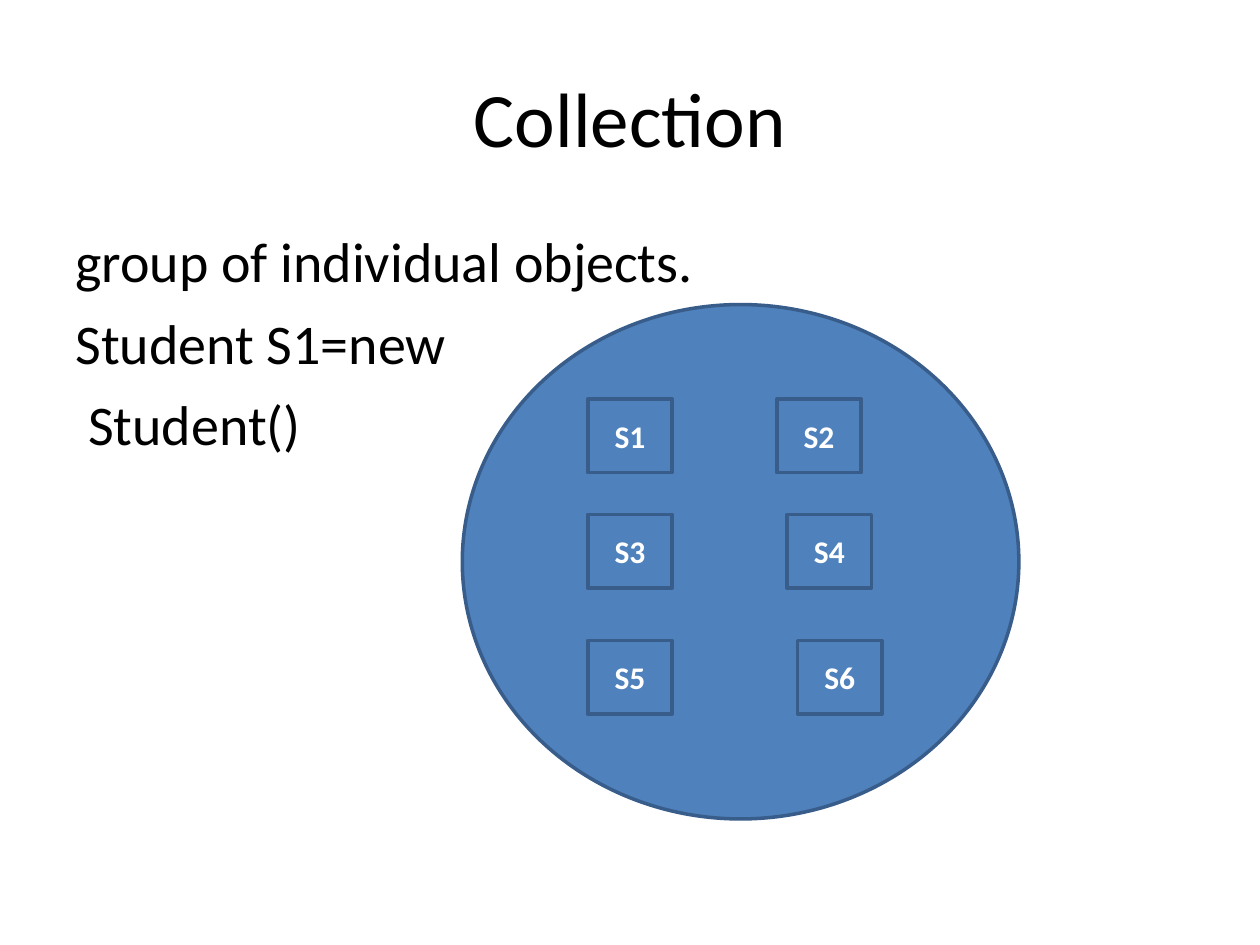
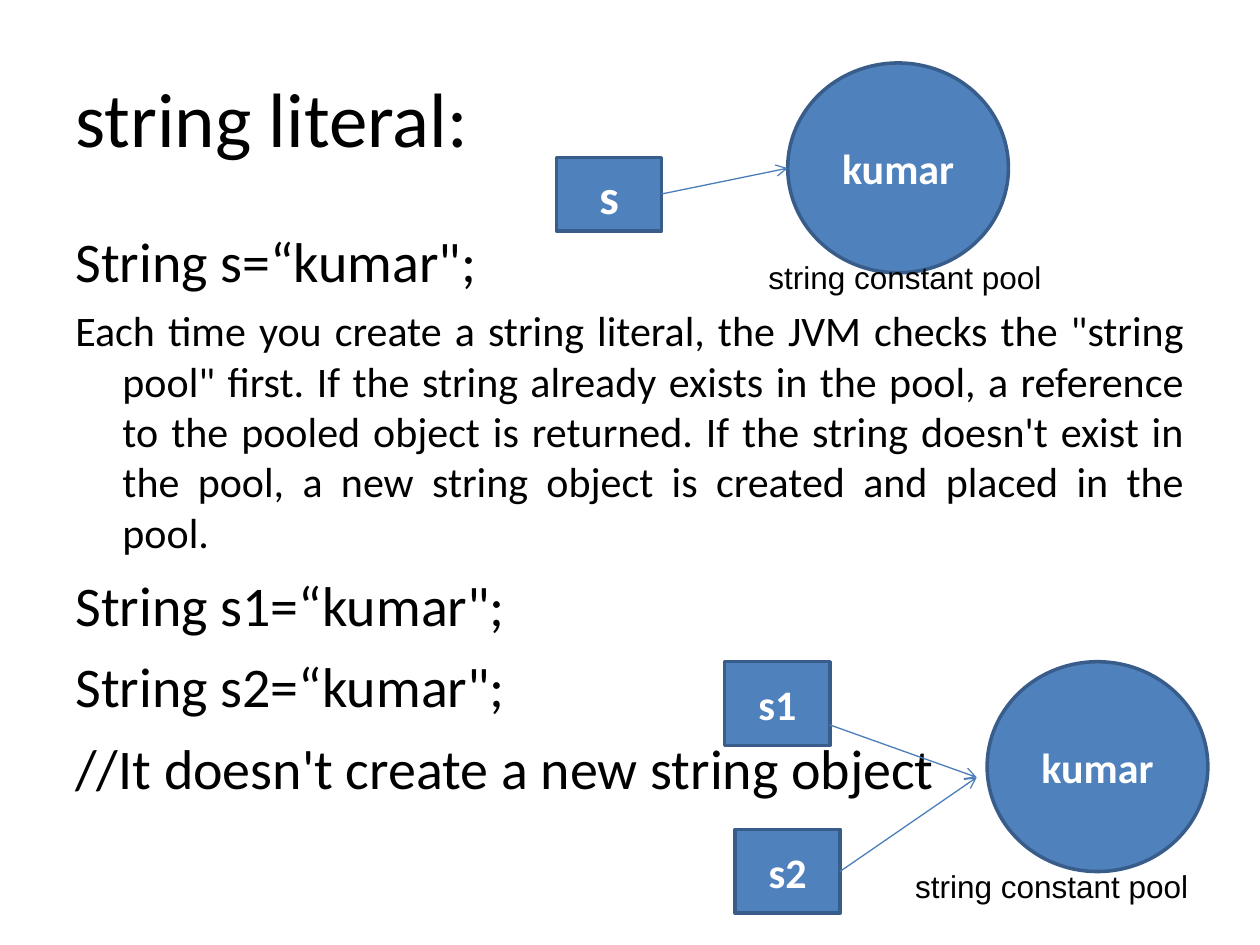
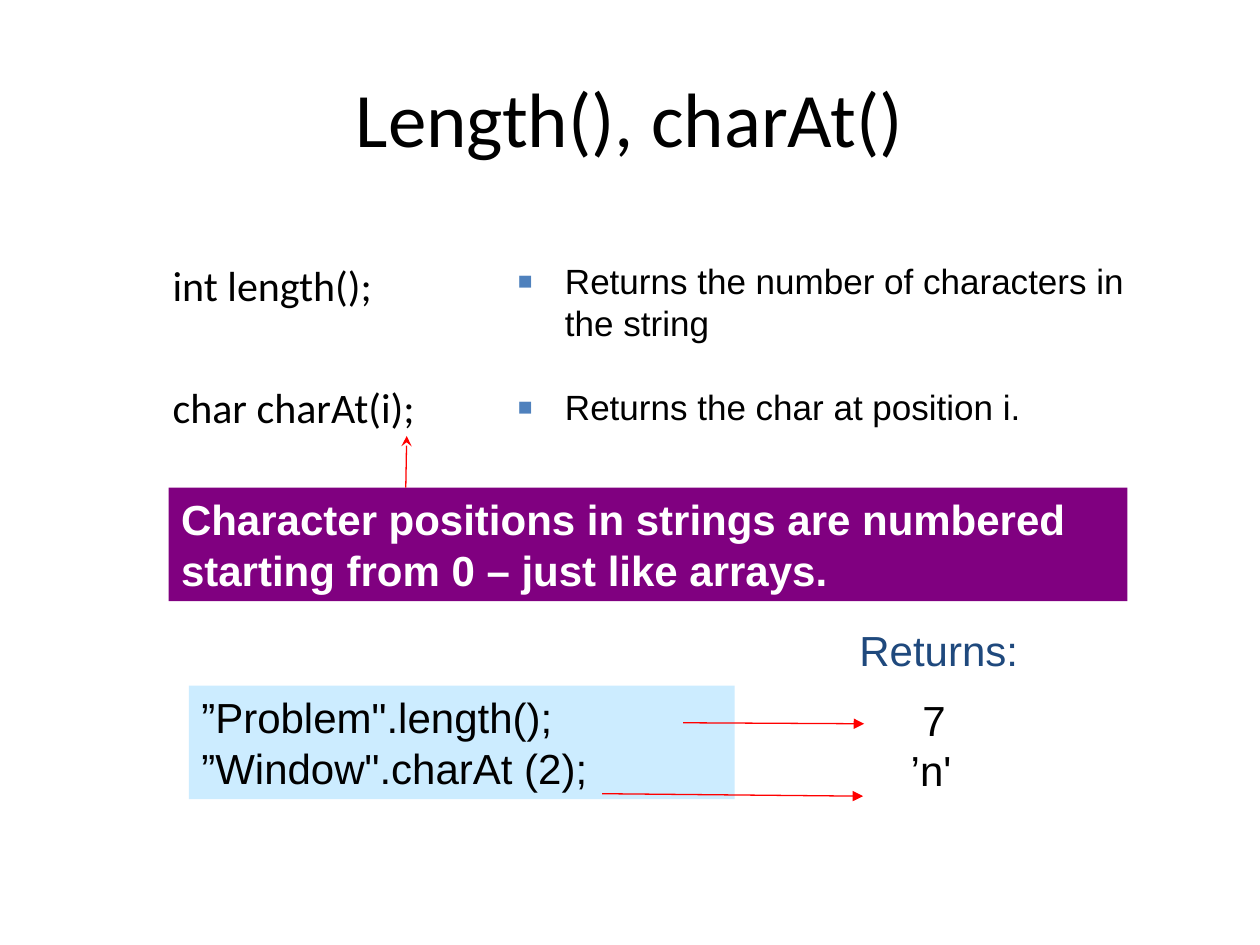
from lxml.etree import SubElement
from pptx import Presentation
from pptx.dml.color import RGBColor
from pptx.enum.shapes import MSO_CONNECTOR, MSO_SHAPE
from pptx.enum.text import MSO_ANCHOR, PP_ALIGN
from pptx.oxml.ns import qn
from pptx.util import Cm, Pt

BLUE, NAVY, LINK_BLUE = "4F81BD", "385D8A", "4A7EBB"
BLACK, WHITE, RED = "000000", "FFFFFF", "FF0000"
HANGING = Cm(0.95)
NO_BREAK_SPACE = chr(160)
hex_color = RGBColor.from_string


def write(shape, text, size=24, font="Calibri", color=BLACK, bold=False,
          align=PP_ALIGN.LEFT, anchor=MSO_ANCHOR.TOP, space=0,
          hanging=False, bullet=None, fill=None, outline=None):
    if fill:
        shape.shadow.inherit = False
        shape.fill.solid()
        shape.fill.fore_color.rgb = hex_color(fill)
        if outline:
            shape.line.color.rgb = hex_color(outline)
            shape.line.width = Pt(2)
        else:
            shape.line.fill.background()
    frame = shape.text_frame
    frame.text = text
    frame.word_wrap = True
    frame.vertical_anchor = anchor
    for paragraph in frame.paragraphs:
        paragraph.alignment = align
        paragraph.line_spacing = 1.0
        paragraph.space_before = Pt(space)
        properties = paragraph._p.get_or_add_pPr()
        if hanging:
            properties.set("marL", str(HANGING))
            properties.set("indent", str(-HANGING))
        if bullet:
            bullet_color = SubElement(properties, qn("a:buClr"))
            SubElement(bullet_color, qn("a:srgbClr"), val=BLUE)
            SubElement(properties, qn("a:buSzPct"), val="70000")
            SubElement(properties, qn("a:buFont"), typeface="Arial")
            SubElement(properties, qn("a:buChar"), char=bullet)
        for run in paragraph.runs:
            run.font.size = Pt(size)
            run.font.name = font
            run.font.bold = bold
            run.font.color.rgb = hex_color(color)
    return frame


def draw_arrow(slide, ends, color, head):
    arrow = slide.shapes.add_connector(MSO_CONNECTOR.STRAIGHT, *map(Cm, ends))
    arrow.line.color.rgb = hex_color(color)
    arrow.line.width = Pt(0.75)
    SubElement(arrow.line._ln, qn("a:tailEnd"), type=head)
    SubElement(arrow._element.spPr, qn("a:effectLst"))
    arrow._element.remove(arrow._element.find(qn("p:style")))


NODE = dict(color=WHITE, bold=True, align=PP_ALIGN.CENTER,
            anchor=MSO_ANCHOR.MIDDLE, fill=BLUE, outline=NAVY)
BODY = dict(size=32, space=8, hanging=True)
BODY_PLACE = (1.27, 4.45, 22.86, 12.57)

deck = Presentation()
deck.slide_width, deck.slide_height = Cm(25.4), Cm(19.05)
slides = []
for heading, align in (("Collection", PP_ALIGN.CENTER),
                       ("string literal:", PP_ALIGN.LEFT),
                       ("Length(), charAt()", PP_ALIGN.CENTER)):
    slide = deck.slides.add_slide(deck.slide_layouts[5])
    title = slide.shapes.title
    title.left, title.top, title.width, title.height = map(Cm, (1.27, 0.76, 22.86, 3.18))
    write(title, heading, size=44, align=align, anchor=MSO_ANCHOR.MIDDLE)
    slides.append(slide)
collection, literal, methods = slides

definition = collection.shapes.add_textbox(*map(Cm, BODY_PLACE))
write(definition, "group of individual objects.\nStudent S1=new\n Student()", **BODY)
group = collection.shapes.add_shape(MSO_SHAPE.OVAL, *map(Cm, (9.32, 6.14, 11.22, 10.37)))
write(group, "", **NODE)
for row, top in enumerate((8.04, 10.37, 12.91)):
    for column, left in enumerate((11.85, 15.66 + 0.21 * row)):
        student = collection.shapes.add_shape(
            MSO_SHAPE.RECTANGLE, *map(Cm, (left, top, 1.7, 1.49)))
        write(student, f"S{2 * row + column + 1}", size=18, **NODE)

explanation = literal.shapes.add_textbox(*map(Cm, BODY_PLACE))
lines = write(explanation, "\n".join((
    "String s=“kumar\";",
    "Each time you create a string literal, the JVM checks the \"string pool\" first. "
    "If the string already exists in the pool, a reference to the pooled object is "
    "returned. If the string doesn't exist in the pool, a new string object is "
    "created and placed in the pool." + NO_BREAK_SPACE,
    "String s1=“kumar\";",
    "String s2=“kumar\";",
    "//It doesn't create a new string object")), **BODY)
pool_rule = lines.paragraphs[1]
pool_rule.alignment = PP_ALIGN.JUSTIFY
pool_rule.space_before = Pt(6)
pool_rule.runs[0].font.size = Pt(24)

for left, top in ((15.88, 1.27), (19.9, 13.34)):
    pool = literal.shapes.add_shape(MSO_SHAPE.OVAL, *map(Cm, (left, top, 4.45, 4.23)))
    write(pool, "kumar", **NODE)
for variable, left, top, height, size in (("s", 11.22, 3.18, 1.48, 28),
                                          ("s1", 14.61, 13.34, 1.69, 24),
                                          ("s2", 14.82, 16.72, 1.69, 24)):
    reference = literal.shapes.add_shape(
        MSO_SHAPE.RECTANGLE, *map(Cm, (left, top, 2.12, height)))
    write(reference, variable, size=size, **NODE)
for ends in ((13.34, 3.91, 15.88, 3.39),
             (16.72, 14.61, 19.69, 15.67),
             (16.93, 17.57, 19.69, 15.67)):
    draw_arrow(literal, ends, LINK_BLUE, "arrow")
for left, top in ((15.24, 5.08), (18.2, 17.36)):
    pool_label = literal.shapes.add_textbox(*map(Cm, (left, top, 6.7, 1.02)))
    write(pool_label, "string constant pool", size=18, font="Arial")

signatures = methods.shapes.add_textbox(*map(Cm, (3.23, 5.11, 6.05, 3.73)))
write(signatures, "int length();\nchar charAt(i);", space=41, hanging=True)
meanings = methods.shapes.add_textbox(*map(Cm, (10.19, 5.11, 13.08, 3.89)))
write(meanings, "Returns the number of characters in the string\n"
      "Returns the char at position i.",
      size=20, font="Arial", space=24, hanging=True, bullet="■")
results = methods.shapes.add_textbox(*map(Cm, (18.11, 13.87, 3.1, 2.29)))
write(results, " 7\n’n'", font="Arial")
calls = methods.shapes.add_shape(MSO_SHAPE.RECTANGLE, *map(Cm, (3.81, 13.82, 11, 2.29)))
write(calls, "”Problem\".length();\n”Window\".charAt (2);", font="Arial", fill="CCECFF")
returns = methods.shapes.add_textbox(*map(Cm, (16.92, 12.47, 4.01, 1.27)))
write(returns, "Returns:", font="Arial", color="1F497D", align=PP_ALIGN.CENTER)
numbering = methods.shapes.add_shape(
    MSO_SHAPE.RECTANGLE, *map(Cm, (3.4, 9.83, 19.33, 2.29)))
write(numbering, "Character positions in strings are numbered starting from 0 – "
      "just like arrays.", font="Arial", color=WHITE, bold=True, fill="800080")
for ends, head in (((12.14, 16, 17.4, 16.05), "triangle"),
                   ((13.77, 14.57, 17.42, 14.59), "triangle"),
                   ((8.18, 9.83, 8.2, 8.79), "stealth")):
    draw_arrow(methods, ends, RED, head)

deck.save("out.pptx")
